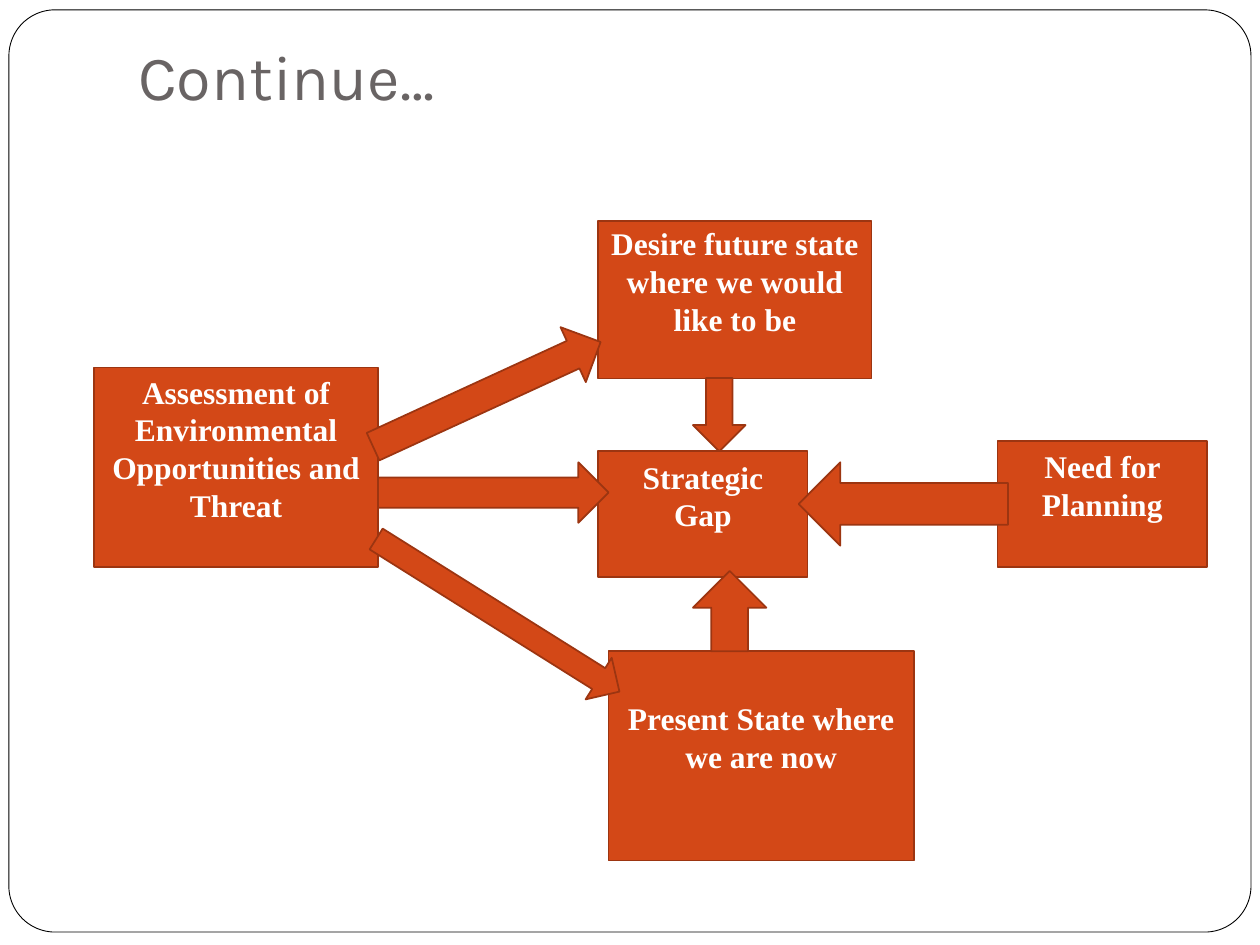
from pptx import Presentation
from pptx import util as u
from pptx.dml.color import RGBColor
from pptx.enum import shapes, text

Cm, Pt = u.Cm, u.Pt
Shape = shapes.MSO_SHAPE


def color(hex_value):
    return RGBColor.from_string(hex_value)


class SlideBuilder:
    ORANGE, BROWN, WHITE, GRAY, BLACK = "D34817", "9C3511", "FFFFFF", "696464", "000000"
    TITLE_FONT, BODY_FONT = "Karla", "Times New Roman"

    def __init__(self, slide):
        self.slide = slide

    def shape(self, kind, bounds, fill, line, line_width):
        shape = self.slide.shapes.add_shape(kind, *map(Cm, bounds))
        shape.shadow.inherit = False
        shape.fill.solid()
        shape.fill.fore_color.rgb = color(fill)
        shape.line.color.rgb = color(line)
        shape.line.width = Pt(line_width)
        return shape

    def run(self, paragraph, words, font, size, font_color, bold=False):
        run = paragraph.add_run()
        run.text = words
        run.font.name = font
        run.font.size = Pt(size)
        run.font.bold = bold
        run.font.color.rgb = color(font_color)

    def frame(self, *bounds):
        frame = self.shape(Shape.ROUNDED_RECTANGLE, bounds, self.WHITE, self.BLACK, 0.5)
        frame.adjustments[0] = 0.05

    def title(self, words, *bounds):
        text_frame = self.slide.shapes.add_textbox(*map(Cm, bounds)).text_frame
        text_frame.word_wrap = True
        text_frame.vertical_anchor = text.MSO_ANCHOR.BOTTOM
        text_frame.margin_bottom = Cm(0.25)
        self.run(text_frame.paragraphs[0], words, self.TITLE_FONT, 36, self.GRAY)

    def box(self, words, *bounds):
        """Add a labelled box whose text sits half a line above the middle."""
        box = self.shape(Shape.RECTANGLE, bounds, self.ORANGE, self.BROWN, 1)
        text_frame = box.text_frame
        text_frame.word_wrap = True
        text_frame.vertical_anchor = text.MSO_ANCHOR.MIDDLE
        text_frame.margin_bottom = Cm(0.89)
        paragraph = text_frame.paragraphs[0]
        paragraph.alignment = text.PP_ALIGN.CENTER
        self.run(paragraph, words, self.BODY_FONT, 18, self.WHITE, bold=True)

    def arrow(self, kind, *bounds, rotation=0):
        arrow = self.shape(kind, bounds, self.ORANGE, self.BROWN, 1)
        arrow.rotation = rotation


def main():
    presentation = Presentation()
    presentation.slide_width, presentation.slide_height = Cm(25.4), Cm(19.05)
    builder = SlideBuilder(presentation.slides.add_slide(presentation.slide_layouts[6]))

    builder.frame(0.18, 0.2, 25.04, 18.59)
    builder.title("Continue…", 2.54, 1.07, 21.59, 1.47)

    builder.box("Desire future state where we would like to be", 12.06, 4.45, 5.51, 3.18)
    builder.box("Assessment of Environmental Opportunities and Threat", 1.9, 7.41, 5.72, 4.02)
    builder.box("Strategic Gap", 12.06, 9.1, 4.22, 2.54)
    builder.box("Need for Planning", 20.11, 8.89, 4.22, 2.54)
    builder.box("Present State where we are now", 12.27, 13.12, 6.15, 4.23)

    # From the assessment to the three states
    builder.arrow(Shape.RIGHT_ARROW, 7.29, 7.34, 5.05, 1.22, rotation=335.3)
    builder.arrow(Shape.RIGHT_ARROW, 7.62, 9.32, 4.65, 1.22)
    builder.arrow(Shape.RIGHT_ARROW, 7.14, 11.91, 5.79, 0.99, rotation=32.1)
    # Into the strategic gap
    builder.arrow(Shape.DOWN_ARROW, 13.97, 7.62, 1.06, 1.48)
    builder.arrow(Shape.DOWN_ARROW, 13.97, 11.51, 1.48, 1.62, rotation=180)
    builder.arrow(Shape.DOWN_ARROW, 17.37, 8.05, 1.68, 4.22, rotation=90)

    presentation.save("out.pptx")


if __name__ == "__main__":
    main()
